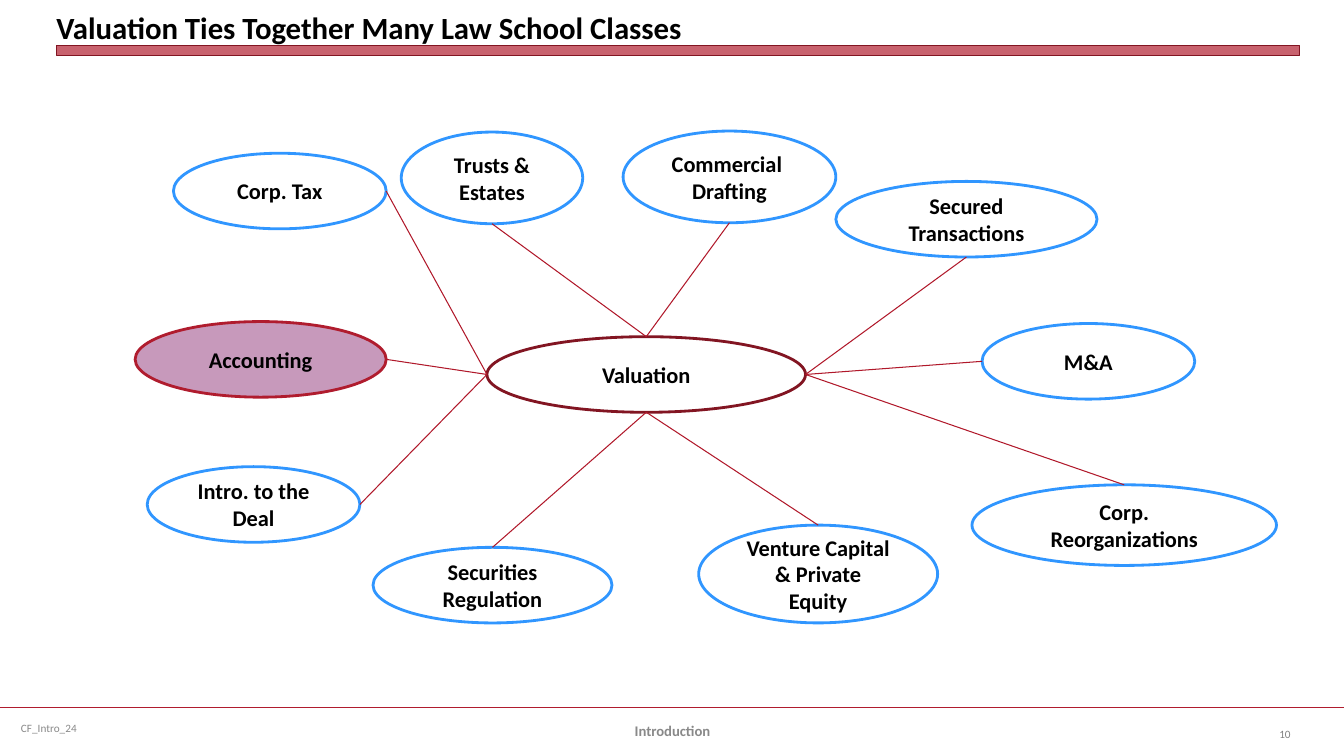
from dataclasses import dataclass

from lxml.etree import SubElement
from pptx import Presentation
from pptx.dml.color import RGBColor
from pptx.enum.shapes import MSO_CONNECTOR, MSO_SHAPE
from pptx.enum.text import MSO_ANCHOR, PP_ALIGN
from pptx.oxml.ns import qn
from pptx.util import Inches, Pt


@dataclass(frozen=True)
class Theme:
    font: str = "Calibri"
    ink: str = "000000"
    red: str = "B01C2E"
    dark_red: str = "821522"
    spoke: str = "B0182A"
    blue: str = "3096FF"
    mauve: str = "C799BB"
    grey: str = "898989"
    page_grey: str = "808080"
    title_size: float = 22
    class_size: float = 16
    section_size: float = 10.5
    footer_size: float = 8


THEME = Theme()

# Content
TITLE = "Valuation Ties Together Many Law School Classes"
HUB = ("Valuation", (4.83, 3.34, 3.16, 0.75))
# Class, place (left, top, width, height), side of the hub, side of the class
CLASSES = [
    ("M&A", (9.74, 3.21, 2.11, 0.75), "right", "left"),
    ("Corp. Reorganizations", (9.64, 4.81, 3.02, 0.8), "right", "top"),
    ("Securities Regulation", (3.7, 5.43, 2.37, 0.75), "bottom", "top"),
    ("Accounting", (1.34, 3.19, 2.49, 0.75), "left", "right"),
    ("Commercial \nDrafting", (6.18, 1.3, 2.11, 0.91), "top", "bottom"),
    ("Corp. Tax", (1.72, 1.52, 2.11, 0.75), "left", "right"),
    ("Intro. to the Deal", (1.46, 4.63, 2.11, 0.75), "left", "right"),
    ("Secured Transactions", (8.29, 1.8, 2.59, 0.75), "right", "bottom"),
    ("Venture Capital & Private Equity", (6.93, 5.21, 2.37, 0.97), "bottom", "top"),
    ("Trusts & Estates", (3.98, 1.31, 1.8, 0.91), "top", "bottom"),
]
HIGHLIGHT = "Accounting"
# Text, place, alignment, size, colour, bold
FOOTERS = [
    ("CF_Intro_24", (0.11, 7.02, 3.44, 0.4), PP_ALIGN.LEFT,
     THEME.footer_size, THEME.grey, False),
    ("Introduction", (4.56, 7.05, 4.22, 0.4), PP_ALIGN.CENTER,
     THEME.section_size, THEME.grey, True),
    ("10", (12.23, 7.08, 0.67, 0.4), PP_ALIGN.RIGHT,
     THEME.footer_size, THEME.page_grey, False),
]
SIDES = {"left": (0, 0.5), "right": (1, 0.5), "top": (0.5, 0), "bottom": (0.5, 1)}


def inches(values):
    return [Inches(value) for value in values]


def anchor_point(place, side):
    left, top, width, height = place
    across, down = SIDES[side]
    return left + across * width, top + down * height


def write(frame, text, size, color, align, bold=True, anchor=MSO_ANCHOR.MIDDLE):
    frame.text = text
    frame.word_wrap = True
    frame.vertical_anchor = anchor
    for para in frame.paragraphs:
        para.alignment = align
        para.font.name = THEME.font
        para.font.size = Pt(size)
        para.font.bold = bold
        para.font.color.rgb = RGBColor.from_string(color)


def add_line(page, start, end, color, width):
    line = page.shapes.add_connector(MSO_CONNECTOR.STRAIGHT, *inches(start + end))
    line.line.color.rgb = RGBColor.from_string(color)
    line.line.width = Pt(width)
    SubElement(line._element.spPr, qn("a:effectLst"))


def add_outlined(page, kind, place, line_color, width, fill=None):
    shape = page.shapes.add_shape(kind, *inches(place))
    shape.shadow.inherit = False
    shape.line.color.rgb = RGBColor.from_string(line_color)
    shape.line.width = Pt(width)
    if fill:
        shape.fill.solid()
        shape.fill.fore_color.rgb = RGBColor.from_string(fill)
    else:
        shape.fill.background()
    return shape


def add_bubble(page, text, place, line_color, fill=None):
    bubble = add_outlined(page, MSO_SHAPE.OVAL, place, line_color, 2, fill)
    write(bubble.text_frame, text, THEME.class_size, THEME.ink, PP_ALIGN.CENTER)


def add_frame(page):
    # Footer rule and title bar
    add_line(page, (0, 7.02), (13.33, 7.02), THEME.red, 1.25)
    bar = add_outlined(page, MSO_SHAPE.RECTANGLE, (0.56, 0.45, 12.33, 0.1),
                       THEME.dark_red, 0, THEME.red)
    color = bar._element.spPr.find(qn("a:solidFill"))[0]
    SubElement(color, qn("a:alpha")).set("val", "69000")

    # Title
    title = page.shapes.title
    title.left, title.top, title.width, title.height = inches((0.56, 0.05, 12.33, 0.4))
    frame = title.text_frame
    frame.margin_left = frame.margin_right = frame.margin_top = frame.margin_bottom = 0
    write(frame, TITLE, THEME.title_size, THEME.ink, PP_ALIGN.LEFT,
          anchor=MSO_ANCHOR.BOTTOM)

    # Footer texts
    for text, place, align, size, color, bold in FOOTERS:
        box = page.shapes.add_textbox(*inches(place))
        write(box.text_frame, text, size, color, align, bold)


def add_map(page):
    # Hub, then each class with its spoke
    hub_text, hub_place = HUB
    add_bubble(page, hub_text, hub_place, THEME.dark_red)
    for text, place, hub_side, class_side in CLASSES:
        if text == HIGHLIGHT:
            add_bubble(page, text, place, THEME.red, THEME.mauve)
        else:
            add_bubble(page, text, place, THEME.blue)
        add_line(page, anchor_point(hub_place, hub_side),
                 anchor_point(place, class_side), THEME.spoke, 0.75)


def main():
    deck = Presentation()
    deck.slide_width, deck.slide_height = inches((13.33, 7.5))
    page = deck.slides.add_slide(deck.slide_layouts.get_by_name("Title Only"))
    add_frame(page)
    add_map(page)
    deck.save("out.pptx")


if __name__ == "__main__":
    main()
